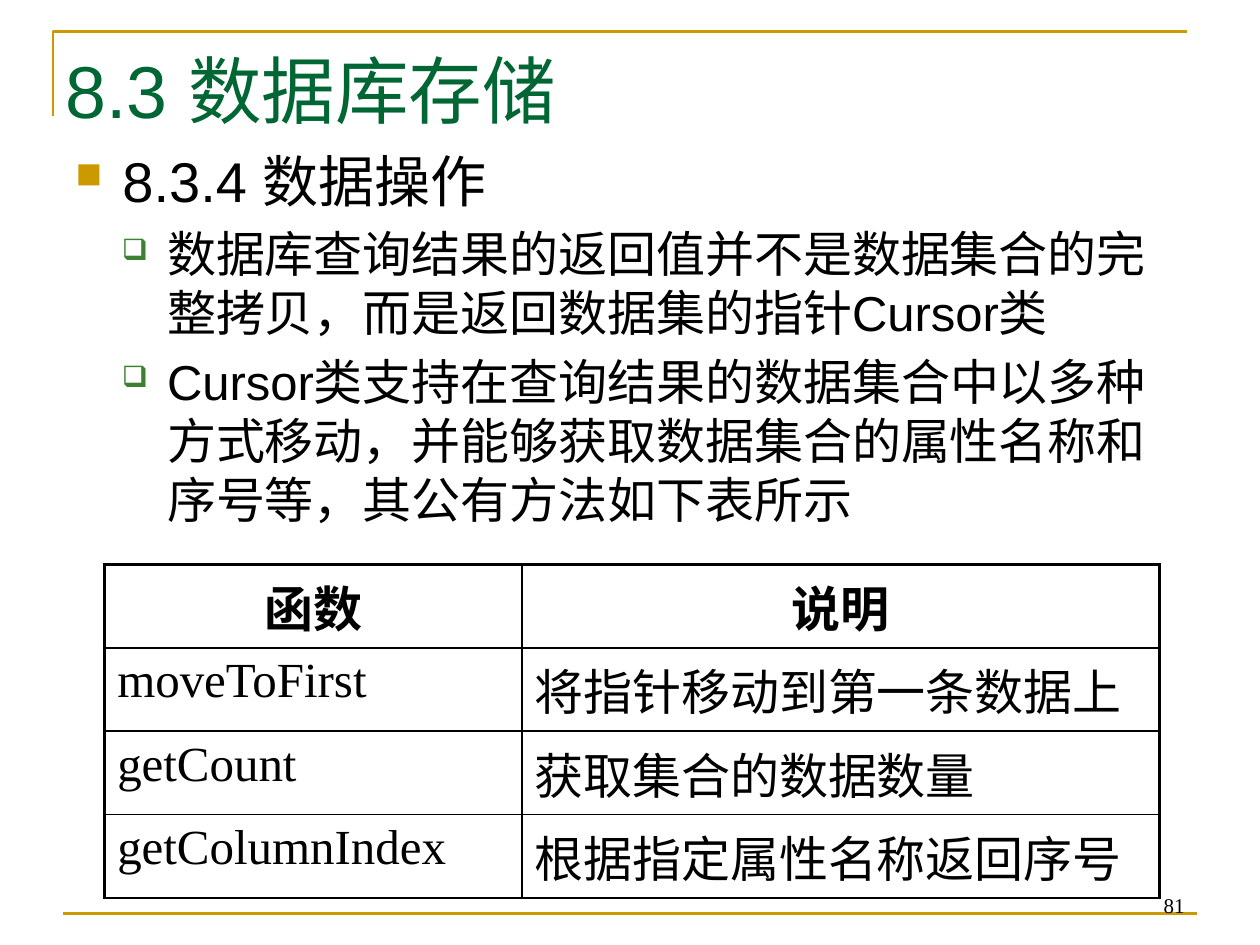
from lxml import etree
from pptx import Presentation, util as u
from pptx.dml import color
from pptx.enum import shapes, text
from pptx.oxml import ns

COLORS = {"gold": "CC9900", "title": "006633", "text": "000000", "bullet": "3B812F"}
SANS, SERIF, CHINESE = "Arial", "Times New Roman", "Noto Sans CJK SC"

# level: text size, line height, space before, indent (cm), hang (cm), bullet, colour, bullet %
LEVELS = [
    (32, 41, 0, 0.95, 0.95, "■", "gold", 65),
    (28, 33.7, 5.6, 1.85, 0.91, "❑", "bullet", 60),
]
BODY = [
    (0, "8.3.4 数据操作"),
    (1, "数据库查询结果的返回值并不是数据集合的完整拷贝，而是返回数据集的指针Cursor类"),
    (1, "Cursor类支持在查询结果的数据集合中以多种方式移动，并能够获取数据集合的属性名称和序号等，其公有方法如下表所示"),
]
METHODS = [
    ("函数", "说明"),
    ("moveToFirst", "将指针移动到第一条数据上"),
    ("getCount", "获取集合的数据数量"),
    ("getColumnIndex", "根据指定属性名称返回序号"),
]


def rgb(name):
    return color.RGBColor.from_string(COLORS[name])


def add_child(parent, tag, **attributes):
    return etree.SubElement(parent, ns.qn(tag), attributes)


def style(para, size, font, shade="text", bold=False):
    para.font.size = u.Pt(size)
    para.font.name = font
    para.font.bold = bold
    para.font.color.rgb = rgb(shade)
    # Chinese characters take their own typeface
    latin = para._p.find(".//" + ns.qn("a:latin"))
    east = etree.Element(ns.qn("a:ea"), typeface=CHINESE)
    latin.addnext(east)


def add_text_box(page, left, top, width, height):
    box = page.shapes.add_textbox(u.Cm(left), u.Cm(top), u.Cm(width), u.Cm(height))
    box.text_frame.word_wrap = True
    return box.text_frame


def draw_frame(page, left, top, width, height):
    # Corner rule around the title
    builder = page.shapes.build_freeform(u.Cm(left), u.Cm(top + 1.7))
    builder.add_line_segments(
        [(u.Cm(left), u.Cm(top)), (u.Cm(left + width), u.Cm(top))], close=False)
    corner = builder.convert_to_shape()
    corner.shadow.inherit = False
    corner.fill.background()

    # Footer rule
    bottom = u.Cm(top + height)
    footer = page.shapes.add_connector(
        shapes.MSO_CONNECTOR.STRAIGHT,
        u.Cm(left + 0.2), bottom, u.Cm(left + 0.2 + width), bottom)
    add_child(footer._element.spPr, "a:ln")
    for rule in (corner, footer):
        rule.line.color.rgb = rgb("gold")
        rule.line.width = u.Pt(1.5)
    add_child(footer._element.spPr, "a:effectLst")


def draw_title(page, left, top, width, height):
    para = add_text_box(page, left, top, width, height).paragraphs[0]
    para.text = "8.3 数据库存储"
    para.line_spacing = u.Pt(54.5)
    style(para, 42, SANS, "title")


def draw_body(page, left, top, width, height):
    frame = add_text_box(page, left, top, width, height)
    for index, (level, words) in enumerate(BODY):
        size, line, before, indent, hang, mark, shade, percent = LEVELS[level]
        para = frame.add_paragraph() if index else frame.paragraphs[0]
        para.text = words
        para.level = level
        para.line_spacing = u.Pt(line)
        para.space_before = u.Pt(before)
        props = para._p.get_or_add_pPr()
        props.set("marL", str(u.Cm(indent)))
        props.set("indent", str(-u.Cm(hang)))
        add_child(add_child(props, "a:buClr"), "a:srgbClr", val=COLORS[shade])
        add_child(props, "a:buSzPct", val=str(percent * 1000))
        add_child(props, "a:buChar", char=mark)
        style(para, size, SANS)


def set_borders(cell, widths):
    props = cell._tc.get_or_add_tcPr()
    for index, (side, width) in enumerate(zip("LRTB", widths)):
        line = etree.Element(ns.qn(f"a:ln{side}"), w=str(u.Pt(width)))
        add_child(add_child(line, "a:solidFill"), "a:srgbClr", val=COLORS["text"])
        props.insert(index, line)


def draw_table(page, left, top, width, height):
    rows, thin, thick = len(METHODS), 1, 2.25
    table = page.shapes.add_table(
        rows, 2, u.Cm(left), u.Cm(top), u.Cm(width), u.Cm(height)).table
    table.first_row = table.horz_banding = False
    first = 8.41
    for column, size in zip(table.columns, (first, width - first)):
        column.width = u.Cm(size)
    for r, values in enumerate(METHODS):
        for c, value in enumerate(values):
            cell = table.cell(r, c)
            cell.fill.background()
            set_borders(cell, (thin if c else thick, thick if c else thin,
                               thin if r else thick, thin))
            para = cell.text_frame.paragraphs[0]
            para.text = value
            if r == 0:
                para.alignment = text.PP_ALIGN.CENTER
            style(para, 28, SERIF if r and not c else CHINESE, bold=r == 0)


def draw_page_number(page, left, top, width, height):
    frame = add_text_box(page, left, top, width, height)
    frame.vertical_anchor = text.MSO_ANCHOR.BOTTOM
    para = frame.paragraphs[0]
    para.text = "81"
    para.alignment = text.PP_ALIGN.RIGHT
    style(para, 12, SERIF)


def main():
    deck = Presentation()
    deck.slide_width, deck.slide_height = u.Cm(25.4), u.Cm(19.05)
    page = deck.slides.add_slide(deck.slide_layouts[6])
    draw_frame(page, 1.07, 0.64, 22.86, 17.78)
    draw_page_number(page, 18.21, 17.35, 5.92, 1.27)
    draw_title(page, 1.07, 0.64, 13.34, 2.11)
    draw_body(page, 1.27, 2.74, 22.86, 8.05)
    draw_table(page, 2.11, 11.38, 21.26, 6.72)
    deck.save("out.pptx")


if __name__ == "__main__":
    main()
